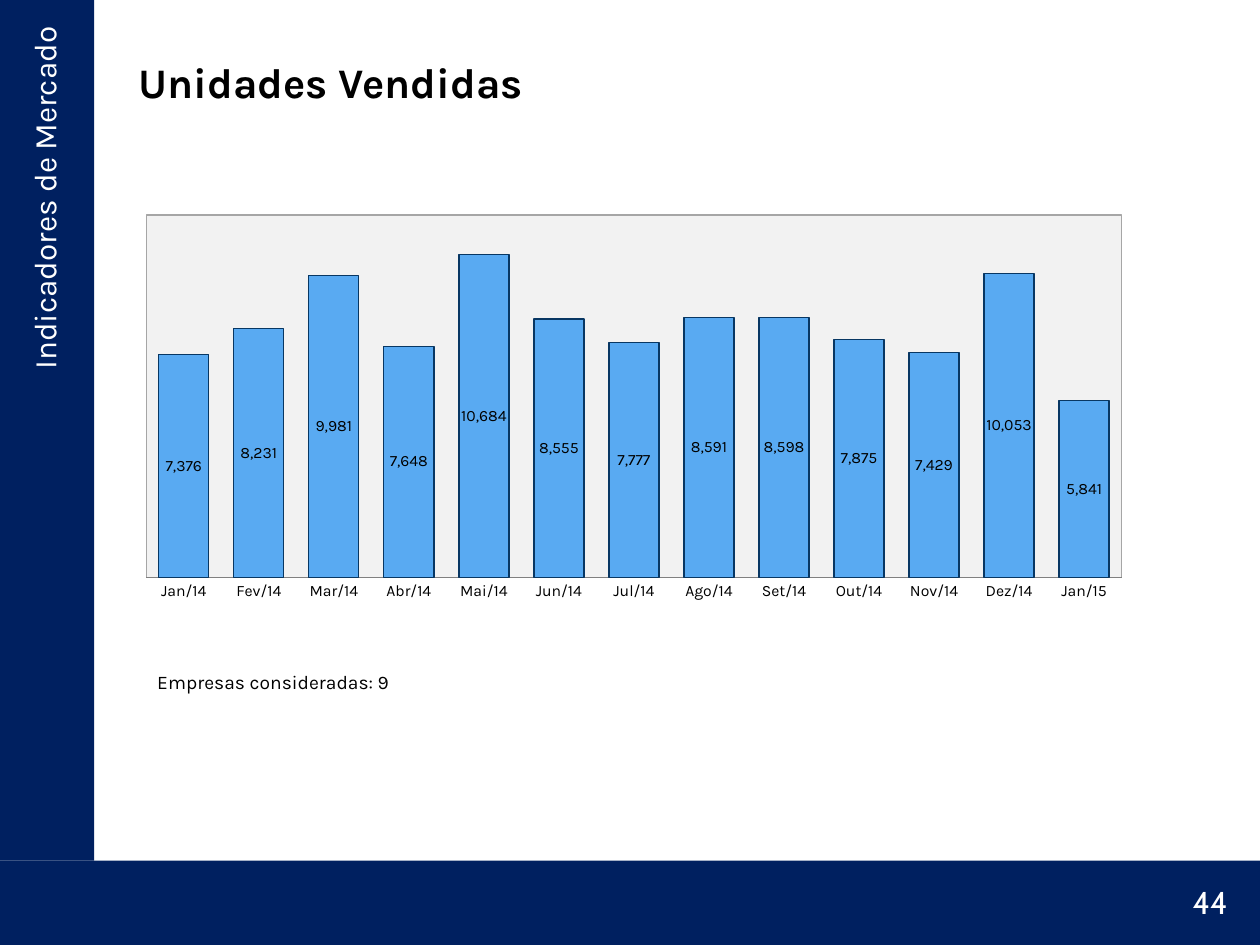
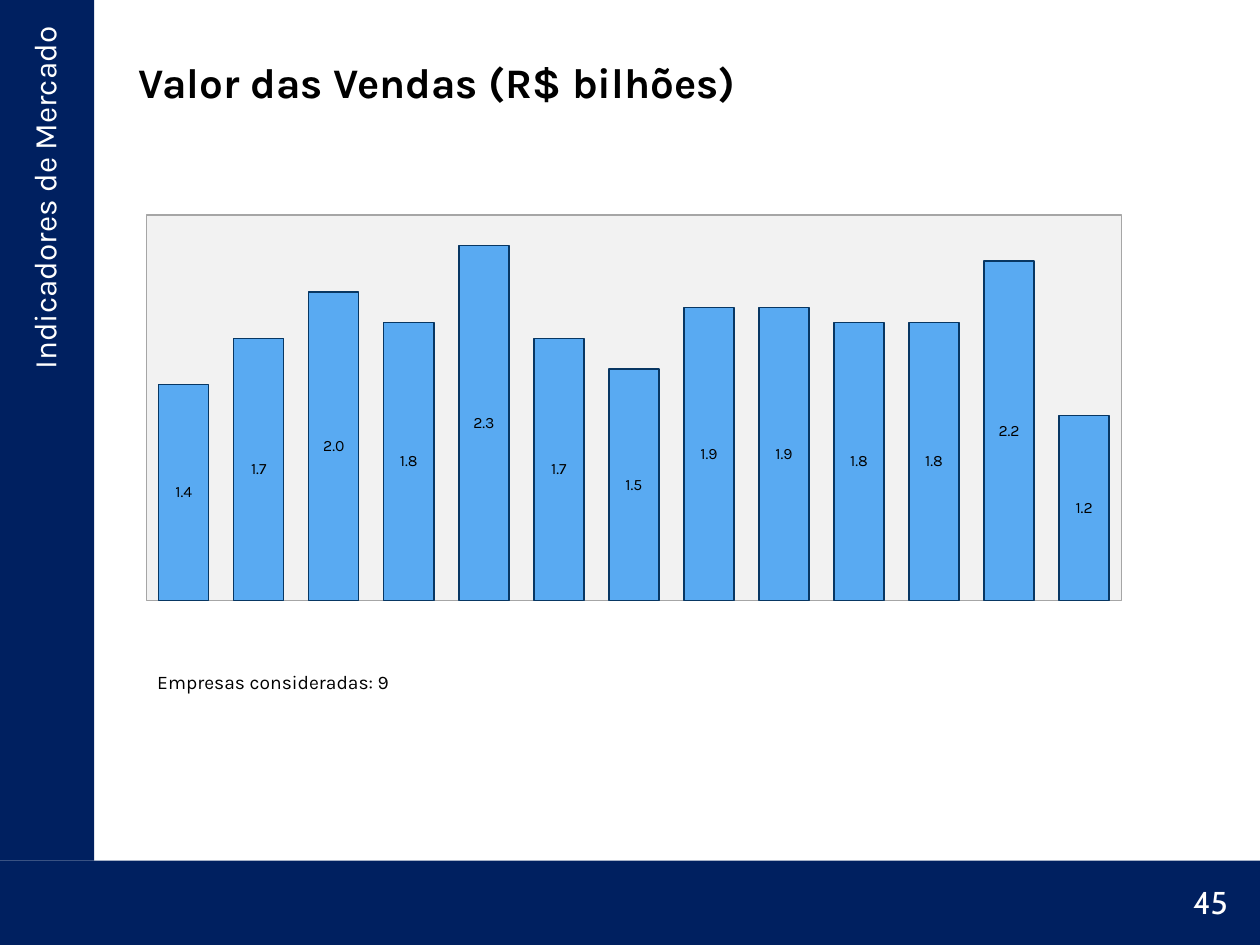
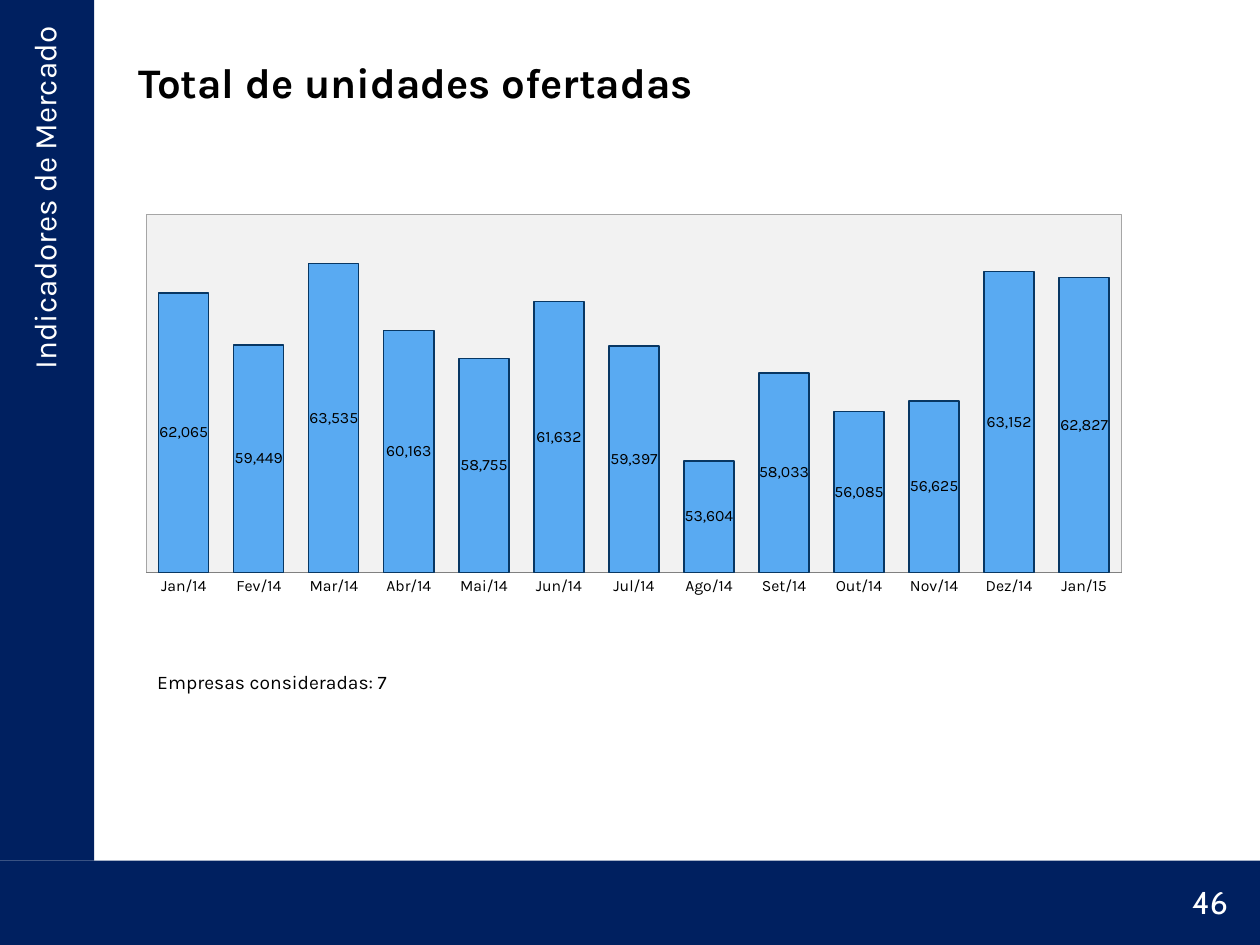
import pptx
import pptx.chart.data
import pptx.dml.color
import pptx.enum.chart
import pptx.enum.shapes
import pptx.enum.text
import pptx.oxml
import pptx.oxml.ns
import pptx.util

Cm = pptx.util.Cm
Pt = pptx.util.Pt
Align = pptx.enum.text.PP_ALIGN

COLORS = {
    "navy": "002060",
    "white": "FFFFFF",
    "text": "000000",
    "bar": "59AAF2",
    "bar_line": "083763",
    "plot": "F2F2F2",
    "plot_line": "A6A6A6",
    "axis": "808080",
}
BODY_FONT = "Karla"
NUMBER_FONT = "Cabin"
SECTION = "Indicadores de Mercado"
FIRST_PAGE = 44

SLIDE_WIDTH, SLIDE_HEIGHT = 25.4, 19.05
SIDE_WIDTH = 1.9
FOOTER_TOP = 17.35
CONTENT_LEFT = 2.54

MONTHS = ["Jan/14", "Fev/14", "Mar/14", "Abr/14", "Mai/14", "Jun/14", "Jul/14",
          "Ago/14", "Set/14", "Out/14", "Nov/14", "Dez/14", "Jan/15"]

INDICATORS = [
    {
        "title": "Unidades Vendidas",
        "values": [7376, 8231, 9981, 7648, 10684, 8555, 7777,
                   8591, 8598, 7875, 7429, 10053, 5841],
        "scale": (0, 12000),
        "format": "#,##0",
        "show_months": True,
        "height": 8.1,
        "companies": 9,
    },
    {
        "title": "Valor das Vendas (R$ bilhões)",
        "values": [1.4, 1.7, 2.0, 1.8, 2.3, 1.7, 1.5,
                   1.9, 1.9, 1.8, 1.8, 2.2, 1.2],
        "scale": (0, 2.5),
        "format": "#,##0.0",
        "show_months": False,
        "height": 8.1,
        "companies": 9,
    },
    {
        "title": "Total de unidades ofertadas",
        "values": [62065, 59449, 63535, 60163, 58755, 61632, 59397,
                   53604, 58033, 56085, 56625, 63152, 62827],
        "scale": (48000, 66000),
        "format": "#,##0",
        "show_months": True,
        "height": 8.0,
        "companies": 7,
    },
]


def rgb(color):
    return pptx.dml.color.RGBColor.from_string(COLORS[color])


def format_font(font, size, color="text", name=BODY_FONT, bold=False):
    font.name = name
    font.size = Pt(size)
    font.bold = bold
    font.color.rgb = rgb(color)


def write(frame, text, size, align=Align.LEFT, **style):
    frame.word_wrap = True
    paragraph = frame.paragraphs[0]
    paragraph.alignment = align
    run = paragraph.add_run()
    run.text = text
    format_font(run.font, size, **style)


def add_text(slide, box, text, size, **style):
    label = slide.shapes.add_textbox(*map(Cm, box))
    write(label.text_frame, text, size, **style)
    return label


def add_band(slide, *box):
    band = slide.shapes.add_shape(
        pptx.enum.shapes.MSO_SHAPE.RECTANGLE, *map(Cm, box))
    band.shadow.inherit = False
    band.fill.solid()
    band.fill.fore_color.rgb = rgb("navy")
    band.line.fill.background()


def add_frame(slide, page):
    """Add the navy bands, the sideways section name and the page number."""
    add_band(slide, 0, FOOTER_TOP, SLIDE_WIDTH, SLIDE_HEIGHT - FOOTER_TOP)
    add_band(slide, 0, 0, SIDE_WIDTH, FOOTER_TOP)
    section = add_text(slide, (-6.48, 7.14, 14.73, 1.02), SECTION, 18,
                       align=Align.RIGHT, color="white")
    section.rotation = 270
    add_text(slide, (22.66, 17.68, 2.34, 1.02), str(page), 18,
             align=Align.RIGHT, color="white", name=NUMBER_FONT)


def set_title(slide, text):
    title = slide.shapes.title
    title.left, title.top = Cm(CONTENT_LEFT), Cm(0.76)
    title.width, title.height = Cm(21.59), Cm(1.78)
    title.text_frame.vertical_anchor = pptx.enum.text.MSO_ANCHOR.MIDDLE
    write(title.text_frame, text, 24, bold=True)


def fill_plot_area(chart):
    plot_area = chart._chartSpace.xpath(".//c:plotArea")[0]
    plot_area.append(pptx.oxml.parse_xml(
        f'<c:spPr {pptx.oxml.ns.nsdecls("c", "a")}>'
        f'<a:solidFill><a:srgbClr val="{COLORS["plot"]}"/></a:solidFill>'
        f'<a:ln w="9525"><a:solidFill><a:srgbClr val="{COLORS["plot_line"]}"/>'
        '</a:solidFill></a:ln></c:spPr>'))


def format_axes(chart, scale, show_months):
    months = chart.category_axis
    months.visible = show_months
    months.has_major_gridlines = False
    months.major_tick_mark = pptx.enum.chart.XL_TICK_MARK.NONE
    months.format.line.color.rgb = rgb("axis")
    months.format.line.width = Pt(0.75)
    format_font(months.tick_labels.font, 9)

    amounts = chart.value_axis
    amounts.visible = False
    amounts.has_major_gridlines = False
    amounts.minimum_scale, amounts.maximum_scale = scale


def format_bars(chart, number_format):
    plot = chart.plots[0]
    plot.gap_width = 50
    plot.overlap = 100
    plot.vary_by_categories = False

    bars = plot.series[0].format
    bars.fill.solid()
    bars.fill.fore_color.rgb = rgb("bar")
    bars.line.color.rgb = rgb("bar_line")
    bars.line.width = Pt(0.75)

    plot.has_data_labels = True
    labels = plot.data_labels
    labels.show_value = True
    labels.number_format = number_format
    labels.number_format_is_linked = False
    labels.position = pptx.enum.chart.XL_LABEL_POSITION.CENTER
    format_font(labels.font, 9)


def add_monthly_chart(slide, indicator):
    data = pptx.chart.data.CategoryChartData(number_format=indicator["format"])
    data.categories = MONTHS
    data.add_series(indicator["title"], indicator["values"])
    chart = slide.shapes.add_chart(
        pptx.enum.chart.XL_CHART_TYPE.COLUMN_STACKED,
        Cm(CONTENT_LEFT), Cm(4.17), Cm(20.48), Cm(indicator["height"]), data).chart
    chart.has_title = False
    chart.has_legend = False
    format_font(chart.font, 10, name=NUMBER_FONT)
    format_axes(chart, indicator["scale"], indicator["show_months"])
    format_bars(chart, indicator["format"])
    fill_plot_area(chart)


def main():
    deck = pptx.Presentation()
    deck.slide_width, deck.slide_height = Cm(SLIDE_WIDTH), Cm(SLIDE_HEIGHT)
    title_only = deck.slide_layouts[5]
    for page, indicator in enumerate(INDICATORS, FIRST_PAGE):
        slide = deck.slides.add_slide(title_only)
        add_frame(slide, page)
        set_title(slide, indicator["title"])
        add_monthly_chart(slide, indicator)
        add_text(slide, (2.92, 13.39, 5.38, 0.74),
                 f"Empresas consideradas: {indicator['companies']}", 11)
    deck.save("out.pptx")


if __name__ == "__main__":
    main()
